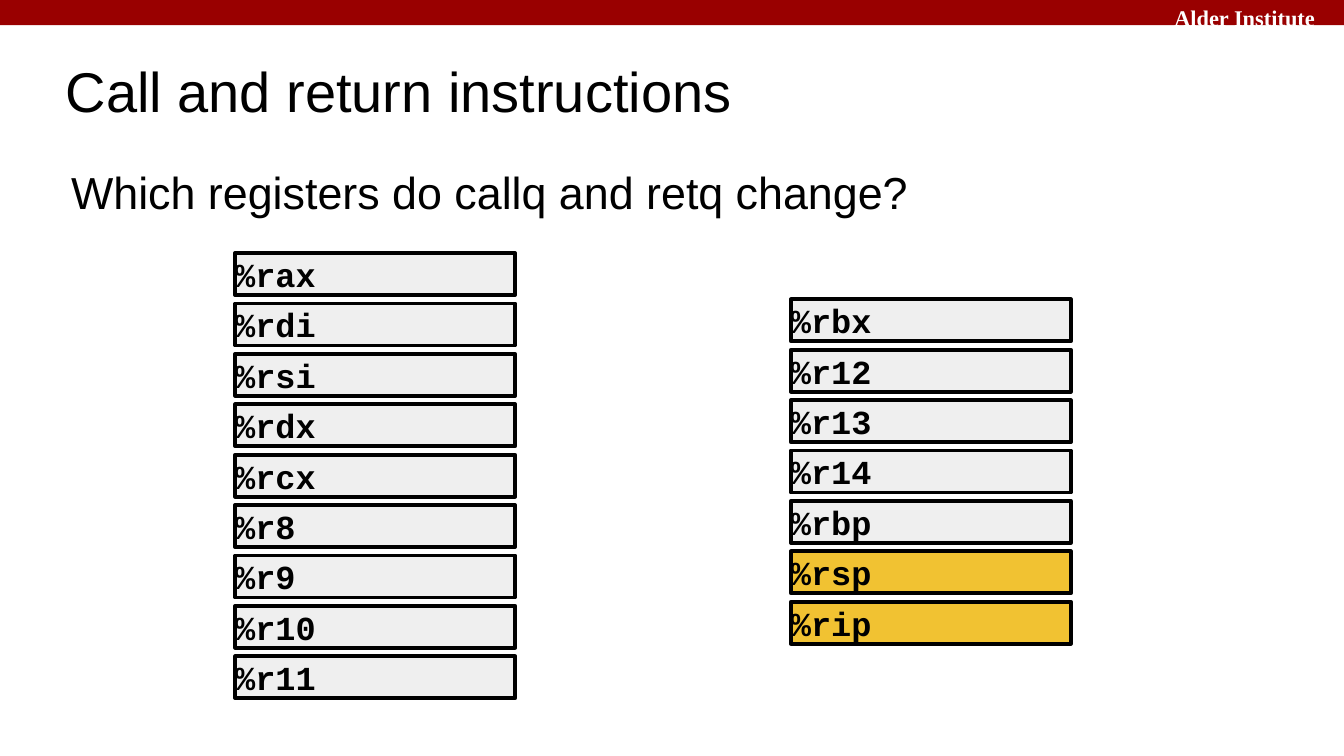
from pptx import Presentation
from pptx.dml.color import RGBColor
from pptx.enum.shapes import MSO_SHAPE
from pptx.enum.text import MSO_ANCHOR, PP_ALIGN
from pptx.util import Pt

RED = RGBColor(0x99, 0x00, 0x00)
WHITE = RGBColor(0xFF, 0xFF, 0xFF)
BLACK = RGBColor(0x00, 0x00, 0x00)
GRAY = RGBColor(0xEF, 0xEF, 0xEF)
GOLD = RGBColor(0xF1, 0xC2, 0x32)


def add_rect(x, y, w, h, fill):
    sp = s.shapes.add_shape(MSO_SHAPE.RECTANGLE, Pt(x), Pt(y), Pt(w), Pt(h))
    sp.shadow.inherit = False
    sp.fill.solid()
    sp.fill.fore_color.rgb = fill
    return sp


def set_text(sp, text, size, font, color, inset, anchor, bold=False):
    tf = sp.text_frame
    tf.word_wrap = True
    tf.vertical_anchor = anchor
    tf.margin_left = tf.margin_right = Pt(inset[0])
    tf.margin_top = tf.margin_bottom = Pt(inset[1])
    p = tf.paragraphs[0]
    p.alignment = PP_ALIGN.LEFT
    r = p.add_run()
    r.text = text
    r.font.size = Pt(size)
    r.font.name = font
    r.font.bold = bold
    r.font.color.rgb = color


prs = Presentation()
prs.slide_width, prs.slide_height = Pt(720), Pt(405)
s = prs.slides.add_slide(prs.slide_layouts[5])

# Header band
band = add_rect(0, 0, 720, 13.5, RED)
band.line.fill.background()
tb = s.shapes.add_textbox(Pt(622), Pt(-1.5), Pt(103), Pt(16.5))
set_text(tb, "Alder Institute", 12, "Times New Roman", WHITE, (7.2, 3.6),
         MSO_ANCHOR.TOP, bold=True)

# Title and question
title = s.shapes.title
title.left, title.top, title.width, title.height = Pt(28), Pt(26), Pt(598), Pt(45)
set_text(title, "Call and return instructions", 30, "Arial", BLACK, (7.2, 7.2),
         MSO_ANCHOR.MIDDLE)
tb = s.shapes.add_textbox(Pt(31), Pt(81), Pt(622), Pt(294))
set_text(tb, "Which registers do callq and retq change?", 24, "Arial", BLACK,
         (7.2, 7.2), MSO_ANCHOR.TOP)

# Register columns, with the changed registers in gold
columns = [
    (126, 135.6, ["rax", "rdi", "rsi", "rdx", "rcx", "r8", "r9", "r10", "r11"]),
    (423.7, 160.4, ["rbx", "r12", "r13", "r14", "rbp", "rsp", "rip"]),
]
changed = {"rsp", "rip"}
for x, top, registers in columns:
    for i, register in enumerate(registers):
        sp = add_rect(x, top + 27 * i, 150, 22.5,
                      GOLD if register in changed else GRAY)
        sp.line.color.rgb = BLACK
        sp.line.width = Pt(2)
        set_text(sp, "%" + register, 18, "Courier New", BLACK, (0, 0),
                 MSO_ANCHOR.MIDDLE, bold=True)

prs.save("out.pptx")
